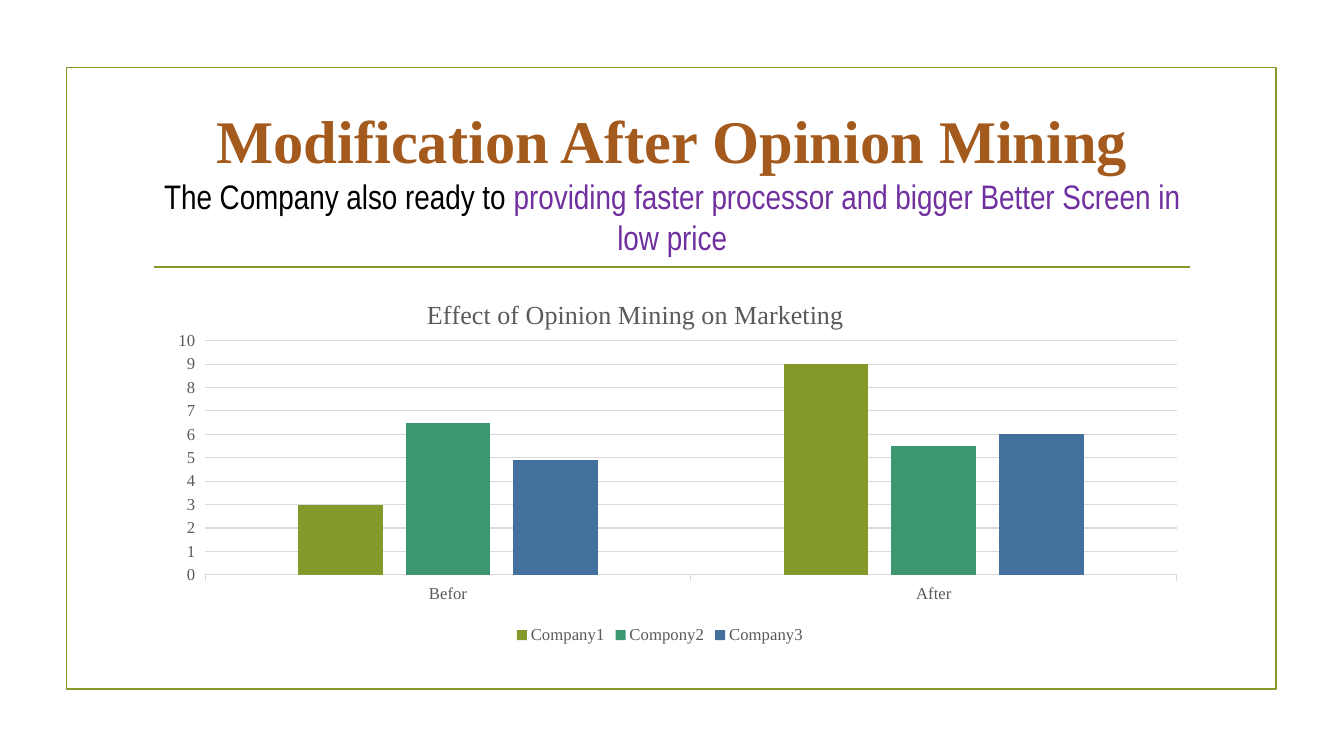
from lxml import etree
from pptx import Presentation
from pptx.chart.data import CategoryChartData
from pptx.dml.color import RGBColor
from pptx.enum.chart import XL_CHART_TYPE, XL_LEGEND_POSITION, XL_TICK_MARK
from pptx.enum.shapes import MSO_CONNECTOR, MSO_SHAPE
from pptx.enum.text import MSO_ANCHOR, PP_ALIGN
from pptx.oxml.ns import qn
from pptx.util import Pt

COLUMNS = XL_CHART_TYPE.COLUMN_CLUSTERED
BOTTOM = XL_LEGEND_POSITION.BOTTOM
OUTSIDE = XL_TICK_MARK.OUTSIDE
STRAIGHT = MSO_CONNECTOR.STRAIGHT
RECTANGLE = MSO_SHAPE.RECTANGLE
MIDDLE = MSO_ANCHOR.MIDDLE
CENTER = PP_ALIGN.CENTER

OLIVE = RGBColor(0x83, 0x99, 0x2A)
GREEN = RGBColor(0x3C, 0x97, 0x70)
BLUE = RGBColor(0x44, 0x70, 0x9D)
BROWN = RGBColor(0xA4, 0x5A, 0x1D)
PURPLE = RGBColor(0x70, 0x30, 0xA0)
BLACK = RGBColor(0, 0, 0)
GRAY = RGBColor(0x59, 0x59, 0x59)
LIGHT_GRAY = RGBColor(0xD9, 0xD9, 0xD9)
SERIF = "Times New Roman"
NARROW = "Arial Narrow"

HEADING = [
    ("Modification After Opinion Mining", 43.2, SERIF, BROWN, True),
    ("The Company also ready to ", 24.3, NARROW, BLACK, False),
    ("providing faster processor and bigger Better Screen in low price",
     24.3, NARROW, PURPLE, False),
]
CHART_TITLE = "Effect of Opinion Mining on Marketing"
CATEGORIES = ["Befor", "After"]
SERIES = [
    ("Company1", (3, 9), OLIVE),
    ("Compony2", (6.5, 5.5), GREEN),
    ("Company3", (4.9, 6), BLUE),
]
TITLE_LAYOUT = {"xMode": "edge", "yMode": "edge", "x": 0.27, "y": 0.03}
PLOT_LAYOUT = {"layoutTarget": "inner", "xMode": "edge", "yMode": "edge",
               "x": 0.06, "y": 0.16, "w": 0.94, "h": 0.64}


def style_font(font, size, color, name=SERIF, bold=False):
    font.size = Pt(size)
    font.name = name
    font.bold = bold
    font.color.rgb = color


def style_line(line, color, width):
    line.color.rgb = color
    line.width = Pt(width)


def set_layout(parent, index, values):
    for old in parent.findall(qn("c:layout")):
        parent.remove(old)
    layout = etree.Element(qn("c:layout"))
    manual = etree.SubElement(layout, qn("c:manualLayout"))
    for tag, value in values.items():
        etree.SubElement(manual, qn("c:" + tag)).set("val", str(value))
    parent.insert(index, layout)


def add_frame(s):
    frame = s.shapes.add_shape(RECTANGLE, Pt(47.5), Pt(48.2), Pt(864), Pt(444.2))
    frame.shadow.inherit = False
    frame.fill.background()
    style_line(frame.line, OLIVE, 1.25)
    rule = s.shapes.add_connector(STRAIGHT, Pt(110.2), Pt(190.8), Pt(850.3), Pt(190.8))
    style_line(rule.line, OLIVE, 1.25)
    etree.SubElement(rule._element.spPr, qn("a:effectLst"))


def add_heading(s):
    tf = s.shapes.add_textbox(Pt(102.2), Pt(77), Pt(756), Pt(103)).text_frame
    tf.word_wrap = True
    tf.vertical_anchor = MIDDLE
    p = tf.paragraphs[0]
    p.alignment = CENTER
    for i, (text, size, name, color, bold) in enumerate(HEADING):
        r = p.add_run()
        r.text = text
        style_font(r.font, size, color, name, bold)
        if i == 0:
            p.add_line_break()


def add_chart(s):
    data = CategoryChartData()
    data.categories = CATEGORIES
    for name, values, _ in SERIES:
        data.add_series(name, values)
    chart = s.shapes.add_chart(COLUMNS, Pt(102.2), Pt(201.6), Pt(738.7), Pt(261.4),
                               data).chart
    style_font(chart.font, 10, BLACK)

    tf = chart.chart_title.text_frame
    tf.text = CHART_TITLE
    style_font(tf.paragraphs[0].runs[0].font, 18.6, GRAY)
    chart.chart_title.include_in_layout = False
    set_layout(chart.chart_title._element, 1, TITLE_LAYOUT)

    chart.has_legend = True
    chart.legend.position = BOTTOM
    chart.legend.include_in_layout = False
    style_font(chart.legend.font, 11.9, GRAY)

    plot = chart.plots[0]
    plot.gap_width = 219
    plot.overlap = -27
    plot.vary_by_categories = False
    for series, (_, _, color) in zip(plot.series, SERIES):
        series.format.fill.solid()
        series.format.fill.fore_color.rgb = color
        series.invert_if_negative = False

    for axis in (chart.category_axis, chart.value_axis):
        axis.major_tick_mark = OUTSIDE
        style_font(axis.tick_labels.font, 11.9, GRAY)
    style_line(chart.category_axis.format.line, LIGHT_GRAY, 0.75)
    values = chart.value_axis
    values.minimum_scale, values.maximum_scale, values.major_unit = 0, 10, 1
    values.format.line.fill.background()
    style_line(values.major_gridlines.format.line, LIGHT_GRAY, 0.75)
    set_layout(chart._chartSpace.chart.plotArea, 0, PLOT_LAYOUT)


def main():
    prs = Presentation()
    prs.slide_width, prs.slide_height = Pt(960), Pt(540)
    s = prs.slides.add_slide(prs.slide_layouts[6])
    add_frame(s)
    add_heading(s)
    add_chart(s)
    prs.save("out.pptx")


if __name__ == "__main__":
    main()
